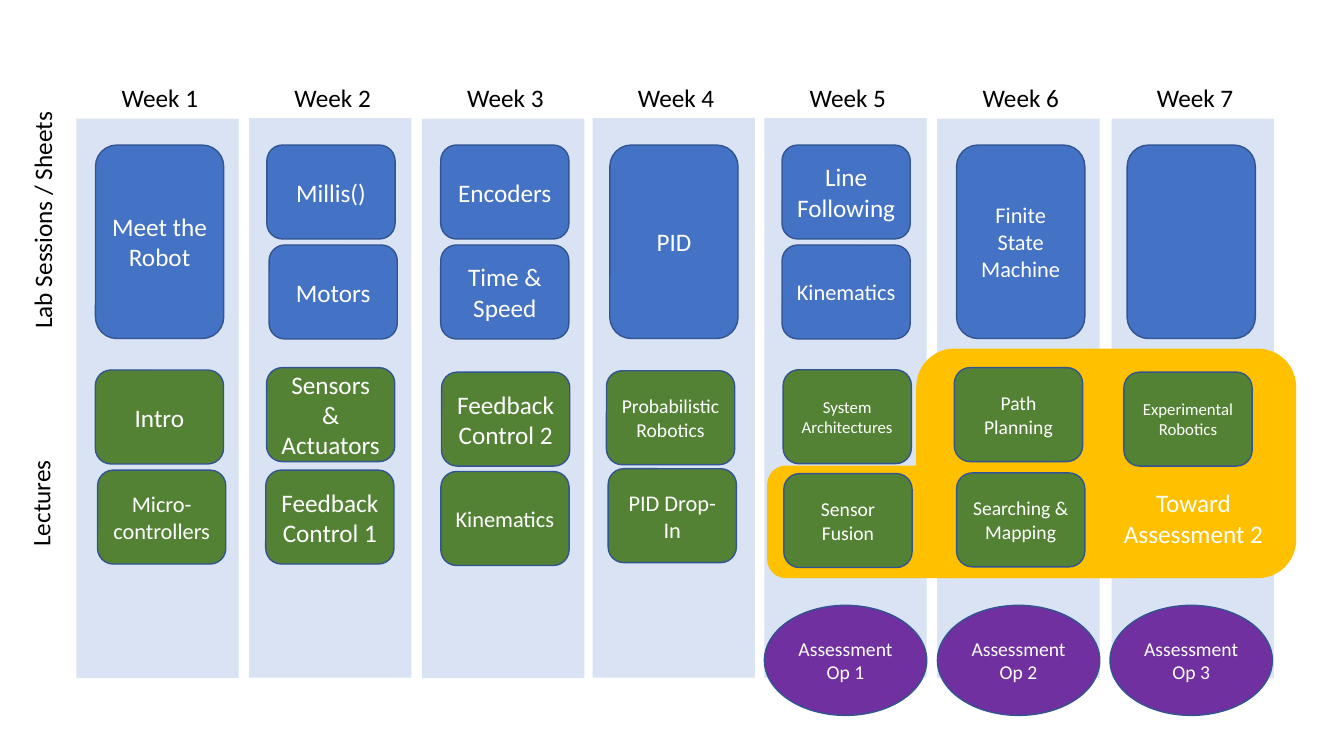
"""Build a seven-week course timetable slide."""
from dataclasses import dataclass

import pptx
import pptx.dml.color
import pptx.enum.shapes
import pptx.enum.text
import pptx.util

Pt = pptx.util.Pt
SHAPE = pptx.enum.shapes.MSO_SHAPE
ALIGN = pptx.enum.text.PP_ALIGN
ANCHOR = pptx.enum.text.MSO_ANCHOR


@dataclass(frozen=True)
class Theme:
    font: str = "Calibri"
    column: str = "DAE3F3"
    lab: str = "4472C4"
    lecture: str = "548235"
    assessment: str = "7030A0"
    highlight: str = "FFC000"
    outline: str = "325491"
    dark: str = "000000"
    light: str = "FFFFFF"
    large: int = 18
    medium: int = 16
    small: int = 14
    tiny: int = 12


T = Theme()
CARD_W, CARD_H, TALL_H = 91.6, 67.1, 138.2
COL_W, COL_H = 116, 399.6
WEEKS = [(54.6, 84.8), (178, 84.4), (301.4, 84.8), (423.3, 84.4),
         (546, 84.4), (669.5, 84.8), (794, 84.8)]

LABS = [
    ("Meet the Robot", 68.2, 103.6, TALL_H, T.large),
    ("Millis()", 190.6, 103.6, CARD_H, T.large),
    ("Motors", 192.2, 175, CARD_H, T.large),
    ("Encoders", 314.8, 103.6, CARD_H, T.large),
    ("Time & Speed", 314.8, 175, CARD_H, T.large),
    ("PID", 435.6, 103.6, TALL_H, T.large),
    ("Line Following", 558.6, 103.6, CARD_H, T.large),
    ("Kinematics", 558.6, 175, CARD_H, T.medium),
    ("Finite State Machine", 683.3, 103.6, TALL_H, T.medium),
    ("", 805.1, 103.6, TALL_H, T.large),
]
LECTURES = [
    ("Intro", 68.1, 264.3, CARD_H, T.large),
    ("Micro-controllers", 69.7, 335.8, CARD_H, T.medium),
    ("Sensors & Actuators", 190.4, 262.6, CARD_H, T.large),
    ("Feedback Control 1", 189.8, 335.8, CARD_H, T.large),
    ("Feedback Control 2", 315.4, 265.8, CARD_H, T.large),
    ("Kinematics", 314.9, 336.8, CARD_H, T.medium),
    ("Probabilistic Robotics", 433.2, 264.8, CARD_H, T.small),
    ("PID Drop-In", 434.4, 334.8, CARD_H, T.medium),
    ("System\nArchitectures", 559.4, 264.1, CARD_H, T.tiny),
    ("Sensor Fusion", 559.9, 338.3, CARD_H, T.small),
    ("Path Planning", 681.7, 262.6, CARD_H, T.small),
    ("Searching & Mapping", 683.3, 337.8, CARD_H, T.small),
    ("Experimental Robotics", 802.8, 265.8, CARD_H, T.tiny),
]
ASSESSMENTS = [(546, "Assessment Op 1"), (669.6, "Assessment Op 2"),
               (792.9, "Assessment Op 3")]
HIGHLIGHTS = [(654.5, 249, 271.4, 164), (548, 332.6, 271.4, 80.4)]


def rgb(value):
    """Turn a hex string into a colour."""
    return pptx.dml.color.RGBColor.from_string(value)


def write(tf, text, size=T.large, color=T.light, align=ALIGN.CENTER,
          anchor=ANCHOR.MIDDLE, wrap=True):
    """Fill a text frame, one paragraph for each line."""
    tf.word_wrap = wrap
    tf.vertical_anchor = anchor
    for i, line in enumerate(text.split("\n")):
        p = tf.paragraphs[0] if i == 0 else tf.add_paragraph()
        p.alignment = align
        r = p.add_run()
        r.text = line
        r.font.name, r.font.size = T.font, Pt(size)
        r.font.color.rgb = rgb(color)


def add_block(shapes, kind, box, fill, outline=None):
    """Add a filled shape, with an outline if a colour is given."""
    sp = shapes.add_shape(kind, *map(Pt, box))
    sp.shadow.inherit = False
    sp.fill.solid()
    sp.fill.fore_color.rgb = rgb(fill)
    if outline:
        sp.line.color.rgb = rgb(outline)
        sp.line.width = Pt(1)
    else:
        sp.line.fill.background()
    return sp


def add_label(s, text, box, vertical=False, **fmt):
    """Add a text box, turned to read upwards if vertical."""
    tf = s.shapes.add_textbox(*map(Pt, box)).text_frame
    write(tf, text, anchor=ANCHOR.TOP, **fmt)
    if vertical:
        tf._txBody.bodyPr.set("vert", "vert270")


def add_cards(s, cards, fill):
    """Add rounded session cards of one colour."""
    for text, x, y, h, size in cards:
        sp = add_block(s.shapes, SHAPE.ROUNDED_RECTANGLE,
                       (x, y, CARD_W, h), fill, T.outline)
        if text:
            write(sp.text_frame, text, size=size)


def main():
    """Build and save the slide."""
    prs = pptx.Presentation()
    prs.slide_width, prs.slide_height = Pt(960), Pt(540)
    s = prs.slides.add_slide(prs.slide_layouts[6])

    for week, (x, y) in enumerate(WEEKS, 1):
        add_block(s.shapes, SHAPE.RECTANGLE, (x, y, COL_W, COL_H), T.column)
        add_label(s, f"Week {week}", (x + 7.4, y - 29.4, 104.4, 29.1),
                  color=T.dark)
    for text, x, y in [("Lab Sessions / Sheets", 15.8, 41),
                       ("Lectures", 14.4, 196.6)]:
        add_label(s, text, (x, y, 36, 200.9), vertical=True,
                  color=T.dark, align=ALIGN.LEFT)

    add_cards(s, LABS, T.lab)
    for x, text in ASSESSMENTS:
        sp = add_block(s.shapes, SHAPE.OVAL, (x, 432.4, COL_W, 78.6),
                       T.assessment, T.outline)
        write(sp.text_frame, text, size=T.small)

    group = s.shapes.add_group_shape()
    for box in HIGHLIGHTS:
        add_block(group.shapes, SHAPE.ROUNDED_RECTANGLE, box, T.highlight)
    add_cards(s, LECTURES, T.lecture)
    add_label(s, "Toward\nAssessment 2", (794.9, 344.9, 115.2, 50.9),
              wrap=False)
    prs.save("out.pptx")


if __name__ == "__main__":
    main()
